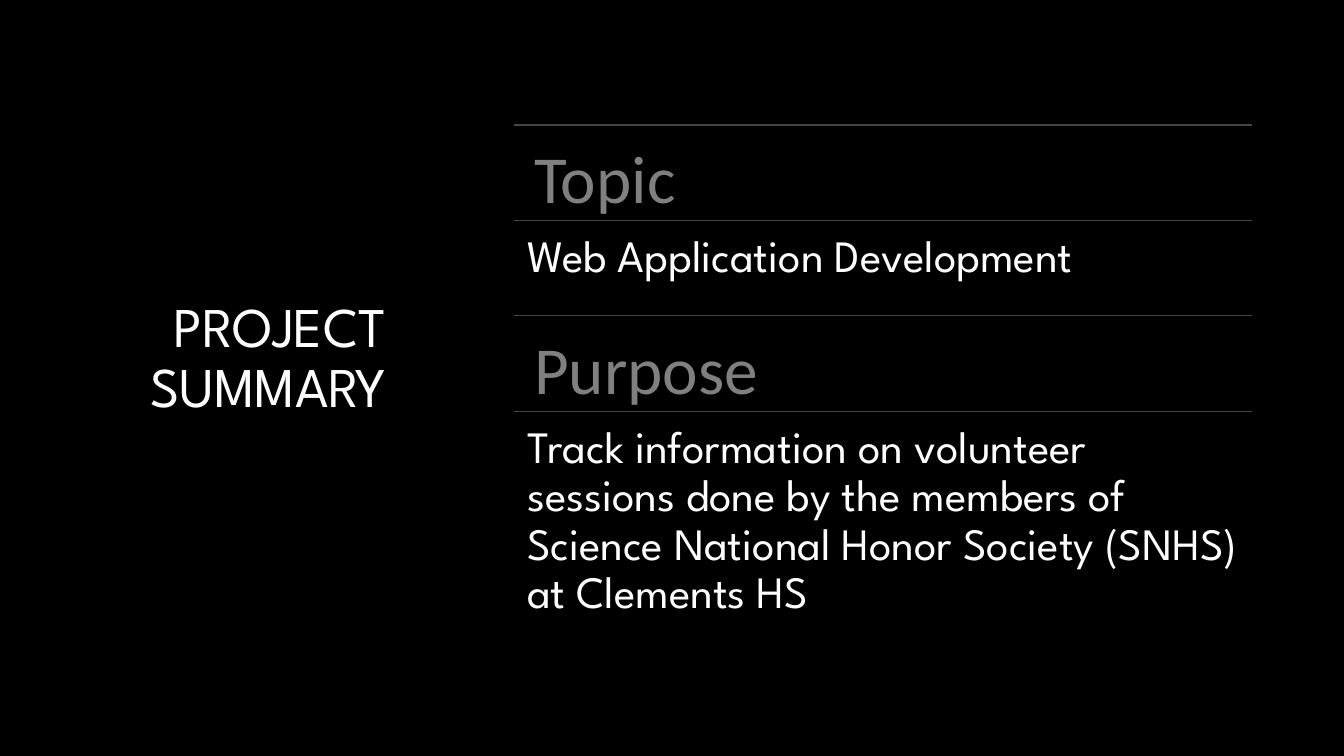
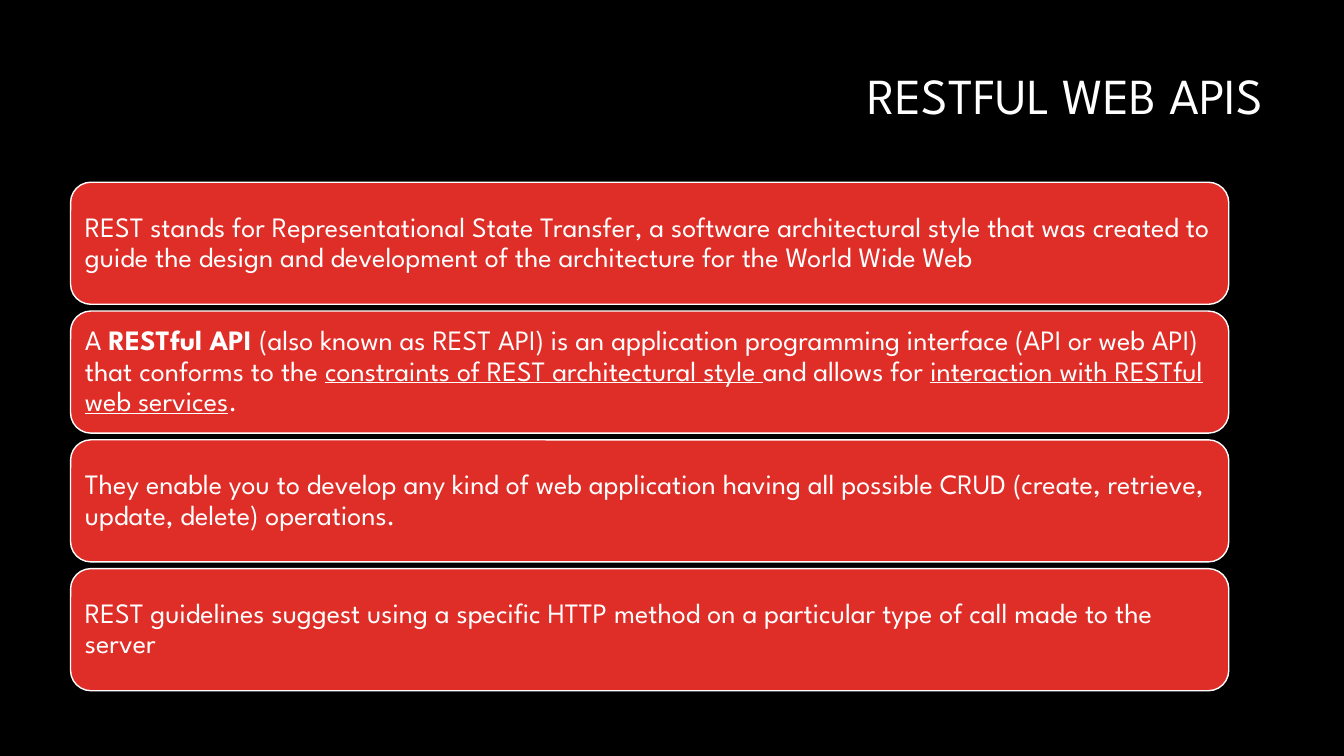
from dataclasses import dataclass

from lxml import etree
from pptx import Presentation
from pptx.dml.color import RGBColor
from pptx.enum import shapes, text
from pptx.oxml.ns import qn
from pptx.util import Pt


@dataclass(frozen=True)
class Theme:
    black: RGBColor = RGBColor(0x00, 0x00, 0x00)
    white: RGBColor = RGBColor(0xFF, 0xFF, 0xFF)
    grey: RGBColor = RGBColor(0x80, 0x80, 0x80)
    rule: RGBColor = RGBColor(0x45, 0x45, 0x45)
    red: RGBColor = RGBColor(0xDF, 0x2E, 0x28)
    body_font: str = "League Spartan"
    label_font: str = "Calibri"
    side_title: int = 40
    top_title: int = 36
    label: int = 48
    answer: int = 32
    card: int = 20


theme = Theme()


def format_paragraph(paragraph, size, color=theme.white, font=theme.body_font,
                     align=text.PP_ALIGN.LEFT):
    paragraph.alignment = align
    paragraph.line_spacing = 0.9
    paragraph.font.size = Pt(size)
    paragraph.font.name = font
    paragraph.font.color.rgb = color


def add_titled_slide(title_text, size, left, top, width, height):
    slide = prs.slides.add_slide(prs.slide_layouts[5])
    title = slide.shapes.title
    title.left, title.top, title.width, title.height = map(Pt, (left, top, width, height))
    frame = title.text_frame
    frame.text = title_text
    frame.auto_size = text.MSO_AUTO_SIZE.NONE
    frame.vertical_anchor = text.MSO_ANCHOR.MIDDLE
    format_paragraph(frame.paragraphs[0], size, align=text.PP_ALIGN.RIGHT)
    return slide


prs = Presentation()
prs.slide_width, prs.slide_height = Pt(960), Pt(540)
background = prs.slide_master.background.fill
background.solid()
background.fore_color.rgb = theme.black

# Project summary: ruled rows of labels and answers
summary = add_titled_slide("PROJECT SUMMARY", theme.side_title, 67, 89.3, 216, 335)

label_style = (theme.label, theme.grey, theme.label_font, 14.4)
answer_style = (theme.answer, theme.white, theme.body_font, 9.4)
rows = [
    ("Topic", label_style),
    ("Web Application Development", answer_style),
    ("Purpose", label_style),
    ("Track information on volunteer sessions done by the members of "
     "Science National Honor Society (SNHS) at Clements HS", answer_style),
]
row_left, row_width, rows_top, row_pitch = 367.2, 527, 89.3, 68.2
last_row_height = 173.5

for index, (wording, (size, color, font, inset)) in enumerate(rows):
    row_top = rows_top + index * row_pitch
    rule = summary.shapes.add_connector(
        shapes.MSO_CONNECTOR.STRAIGHT,
        Pt(row_left), Pt(row_top), Pt(row_left + row_width), Pt(row_top))
    rule.line.color.rgb = theme.rule
    rule.line.width = Pt(0.75)
    etree.SubElement(rule.element.spPr, qn("a:effectLst"))

    row_height = last_row_height if index == len(rows) - 1 else row_pitch
    row = summary.shapes.add_textbox(
        Pt(row_left), Pt(row_top), Pt(row_width), Pt(row_height))
    frame = row.text_frame
    frame.word_wrap = True
    frame.margin_left = frame.margin_right = Pt(inset)
    frame.margin_top = frame.margin_bottom = Pt(inset)
    frame.text = wording
    format_paragraph(frame.paragraphs[0], size, color, font)

# RESTful web APIs: a stack of cards, each a list of (wording, emphasis) parts
apis = add_titled_slide("RESTFUL WEB APIS", theme.top_title, 50.4, 25.2, 859, 89.3)

cards = [
    [("REST stands for Representational State Transfer, a software architectural "
      "style that was created to guide the design and development of the "
      "architecture for the World Wide Web", None)],
    [("A ", None),
     ("RESTful API ", "bold"),
     ("(also known as REST API) is an application programming interface "
      "(API or web API) that conforms to the ", None),
     ("constraints of REST architectural style ", "underline"),
     ("and allows for ", None),
     ("interaction with RESTful web services", "underline"),
     (".", None)],
    [("They enable you to develop any kind of web application having all possible "
      "CRUD (create, retrieve, update, delete) operations.", None)],
    [("REST guidelines suggest using a specific HTTP method on a particular type "
      "of call made to the server", None)],
]
card_left, cards_top, card_width, card_height, card_gap = 50.4, 130.2, 827.3, 87.2, 4.8

for index, parts in enumerate(cards):
    card_top = cards_top + index * (card_height + card_gap)
    card = apis.shapes.add_shape(
        shapes.MSO_SHAPE.ROUNDED_RECTANGLE,
        Pt(card_left), Pt(card_top), Pt(card_width), Pt(card_height))
    card.shadow.inherit = False
    card.fill.solid()
    card.fill.fore_color.rgb = theme.red
    card.line.color.rgb = theme.white
    card.line.width = Pt(1)

    frame = card.text_frame
    frame.word_wrap = True
    frame.vertical_anchor = text.MSO_ANCHOR.MIDDLE
    frame.margin_left = frame.margin_right = Pt(6)
    frame.margin_top = frame.margin_bottom = Pt(6)
    paragraph = frame.paragraphs[0]
    format_paragraph(paragraph, theme.card)
    for wording, emphasis in parts:
        run = paragraph.add_run()
        run.text = wording
        if emphasis == "bold":
            run.font.bold = True
        elif emphasis == "underline":
            run.font.underline = True

prs.save("out.pptx")
